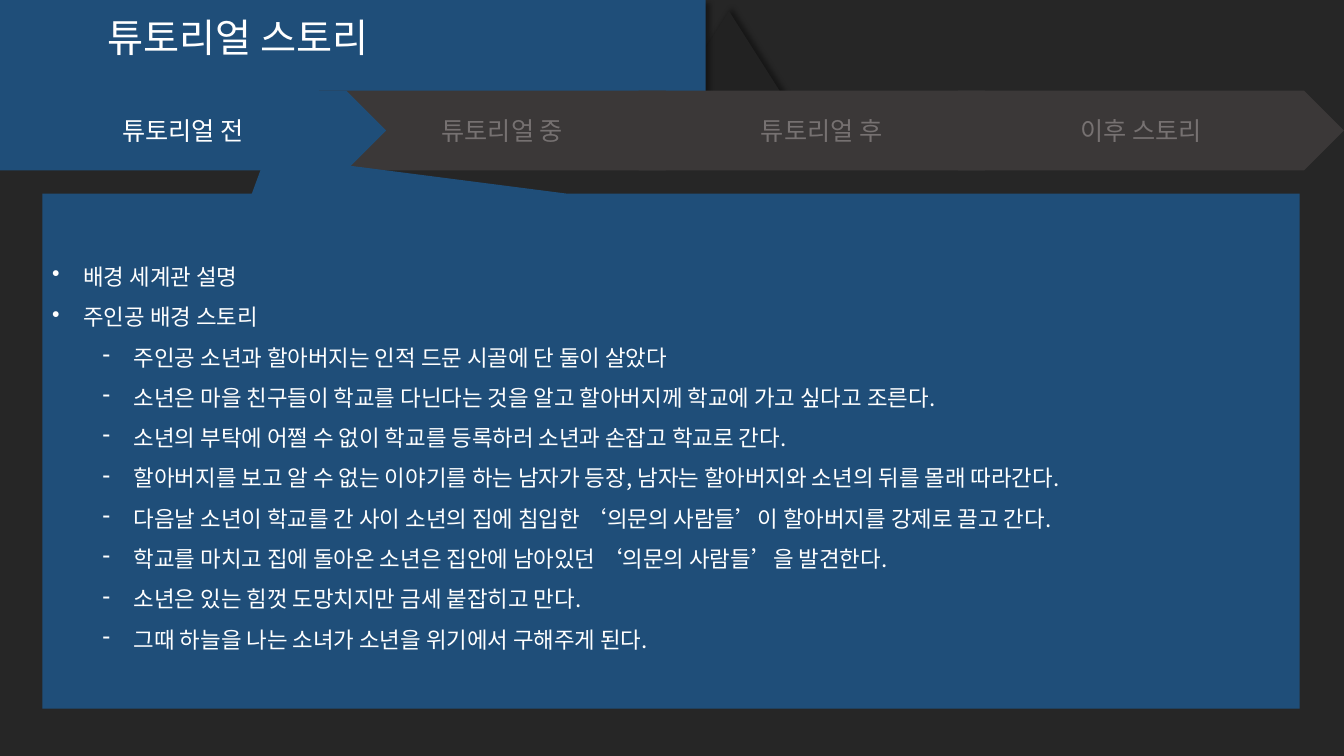
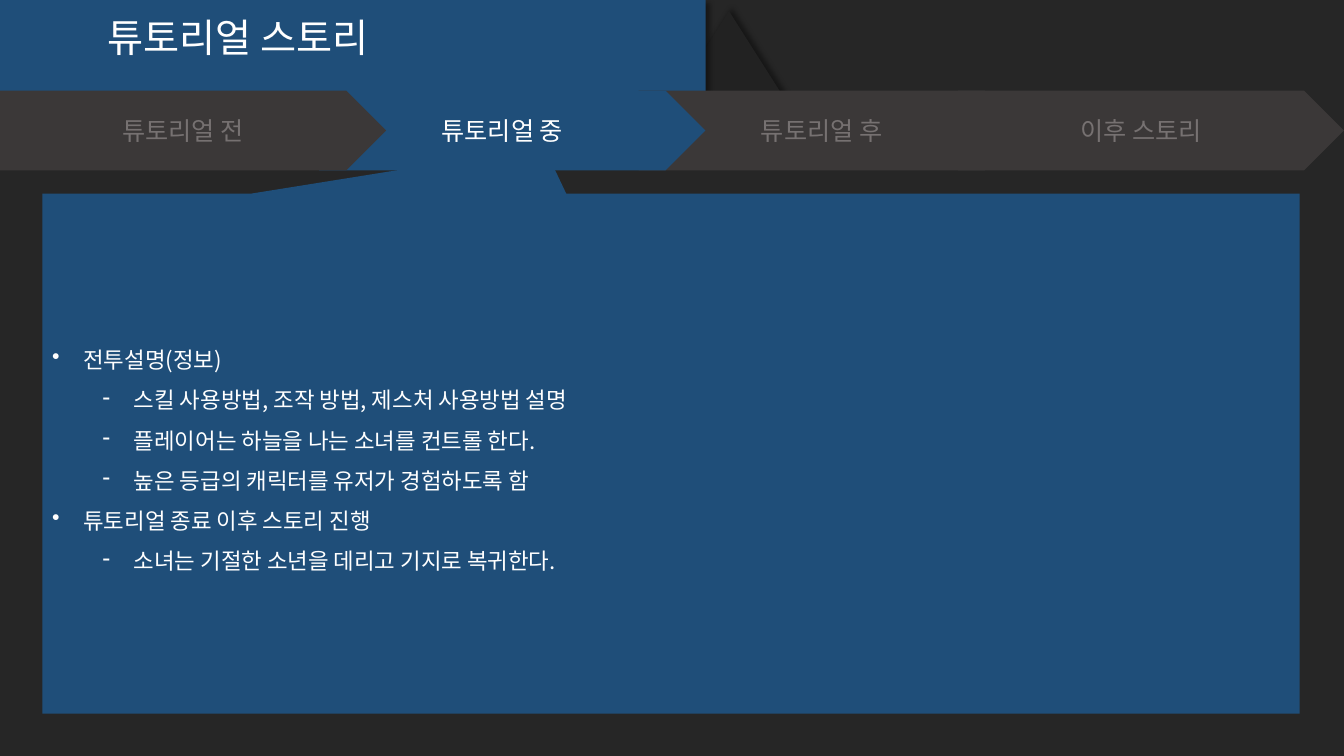
from lxml import etree
from pptx import Presentation
from pptx.dml.color import RGBColor
from pptx.enum.shapes import MSO_SHAPE as Shape
from pptx.enum.text import MSO_ANCHOR as Anchor, MSO_AUTO_SIZE as AutoSize, PP_ALIGN as Align
from pptx.oxml.ns import qn
from pptx.util import Inches, Pt

# Shared style
WIDTH, HEIGHT = 13.33, 7.5
FONT = "Noto Sans CJK KR"
BACKGROUND = RGBColor(0x26, 0x26, 0x26)
FOLD = RGBColor(0x22, 0x22, 0x22)
BLUE = RGBColor(0x1F, 0x4E, 0x79)
GREY = RGBColor(0x3B, 0x38, 0x38)
MUTED = RGBColor(0x76, 0x71, 0x71)
WHITE = RGBColor(0xFF, 0xFF, 0xFF)

# Layout
BAND_HEIGHT = 0.73
BAND_OUTLINE = [(0, 0), (7.43, 0), (6.55, BAND_HEIGHT), (1.55, 0.72), (0, 0.72)]
TAB_TOP, TAB_WIDTH, TAB_HEIGHT = 0.9, 3.83, 0.79
PANEL_LEFT, PANEL_TOP, PANEL_WIDTH = 0.42, 1.92, 12.47
HANG = 0.31
LEVELS = [("•", HANG), ("-", HANG + 0.5)]

# Content
TITLE = "튜토리얼 스토리"
TABS = ["튜토리얼 전", "튜토리얼 중", "튜토리얼 후", "이후 스토리"]
# Each page: height of the panel, tip of its pointer, (level, text) lines
PAGES = [
    (5.11, (-0.322, -0.575), [
        (0, "배경 세계관 설명"),
        (0, "주인공 배경 스토리"),
        (1, "주인공 소년과 할아버지는 인적 드문 시골에 단 둘이 살았다"),
        (1, "소년은 마을 친구들이 학교를 다닌다는 것을 알고 할아버지께 학교에 가고 싶다고 조른다."),
        (1, "소년의 부탁에 어쩔 수 없이 학교를 등록하러 소년과 손잡고 학교로 간다."),
        (1, "할아버지를 보고 알 수 없는 이야기를 하는 남자가 등장, 남자는 할아버지와 소년의 뒤를 몰래 따라간다."),
        (1, "다음날 소년이 학교를 간 사이 소년의 집에 침입한 ‘의문의 사람들’이 할아버지를 강제로 끌고 간다."),
        (1, "학교를 마치고 집에 돌아온 소년은 집안에 남아있던 ‘의문의 사람들’을 발견한다."),
        (1, "소년은 있는 힘껏 도망치지만 금세 붙잡히고 만다."),
        (1, "그때 하늘을 나는 소녀가 소년을 위기에서 구해주게 된다."),
    ]),
    (5.16, (-0.101, -0.59), [
        (0, "전투설명(정보)"),
        (1, "스킬 사용방법, 조작 방법, 제스처 사용방법 설명"),
        (1, "플레이어는 하늘을 나는 소녀를 컨트롤 한다."),
        (1, "높은 등급의 캐릭터를 유저가 경험하도록 함"),
        (0, "튜토리얼 종료 이후 스토리 진행"),
        (1, "소녀는 기절한 소년을 데리고 기지로 복귀한다."),
    ]),
]


def paint(shape, color):
    shape.shadow.inherit = False
    shape.fill.solid()
    shape.fill.fore_color.rgb = color
    shape.line.fill.background()


def add_block(shapes, kind, box, color):
    block = shapes.add_shape(kind, *(Inches(length) for length in box))
    paint(block, color)
    return block


def cast_shadow(shape, degrees):
    effects = shape._element.spPr.find(qn("a:effectLst"))
    shadow = etree.SubElement(effects, qn("a:outerShdw"), blurRad=str(Pt(4)),
                              dist=str(Pt(3)), dir=str(degrees * 60000), rotWithShape="0")
    black = etree.SubElement(shadow, qn("a:srgbClr"), val="000000")
    etree.SubElement(black, qn("a:alpha"), val="40000")


def write(para, text, size, color, align=Align.LEFT):
    para.text = text
    para.alignment = align
    font = para.font
    font.name, font.size, font.color.rgb = FONT, Pt(size), color
    # Hangul takes the East Asian typeface
    etree.SubElement(para._p.pPr.find(qn("a:defRPr")), qn("a:ea"), typeface=FONT)


def add_bullet(para, level):
    mark, indent = LEVELS[level]
    para.level = level
    para.line_spacing = 1.5
    props = para._p.get_or_add_pPr()
    props.set("marL", str(Inches(indent)))
    props.set("indent", str(-Inches(HANG)))
    etree.SubElement(props, qn("a:buChar"), char=mark)


def add_header(page):
    # Folded corner behind the title band
    fold = add_block(page.shapes, Shape.ISOSCELES_TRIANGLE, (6.57, 0.11, 1.32, 1.04), FOLD)
    cast_shadow(fold, 315)

    outline = page.shapes.build_freeform(0, 0, scale=Inches(1))
    outline.add_line_segments(BAND_OUTLINE[1:], close=True)
    band = outline.convert_to_shape()
    paint(band, BLUE)
    cast_shadow(band, 45)

    title = page.shapes.add_textbox(Inches(0.97), Inches(0.08), Inches(3.09), Inches(0.57))
    title.text_frame.word_wrap = False
    title.text_frame.auto_size = AutoSize.SHAPE_TO_FIT_TEXT
    write(title.text_frame.paragraphs[0], TITLE, 28, WHITE)


def add_tabs(page, active):
    step = (WIDTH - TAB_WIDTH) / (len(TABS) - 1)
    group = page.shapes.add_group_shape()
    # Right to left, so each arrow lies over the next one
    for index, label in reversed(list(enumerate(TABS))):
        fill, ink = (BLUE, WHITE) if index == active else (GREY, MUTED)
        box = (index * step, TAB_TOP, TAB_WIDTH, TAB_HEIGHT)
        tab = add_block(group.shapes, Shape.PENTAGON, box, fill)
        tab.text_frame.vertical_anchor = Anchor.MIDDLE
        write(tab.text_frame.paragraphs[0], label, 18, ink, Align.CENTER)


def add_panel(page, height, tip, lines):
    box = (PANEL_LEFT, PANEL_TOP, PANEL_WIDTH, height)
    panel = add_block(page.shapes, Shape.RECTANGULAR_CALLOUT, box, BLUE)
    panel.adjustments[0], panel.adjustments[1] = tip
    frame = panel.text_frame
    frame.word_wrap = True
    frame.vertical_anchor = Anchor.MIDDLE
    for index, (level, text) in enumerate(lines):
        para = frame.add_paragraph() if index else frame.paragraphs[0]
        add_bullet(para, level)
        write(para, text, 16, WHITE)


def main():
    deck = Presentation()
    deck.slide_width, deck.slide_height = Inches(WIDTH), Inches(HEIGHT)
    backdrop = deck.slide_master.background.fill
    backdrop.solid()
    backdrop.fore_color.rgb = BACKGROUND

    for active, (height, tip, lines) in enumerate(PAGES):
        page = deck.slides.add_slide(deck.slide_layouts[6])
        add_header(page)
        add_tabs(page, active)
        add_panel(page, height, tip, lines)
    deck.save("out.pptx")


if __name__ == "__main__":
    main()
